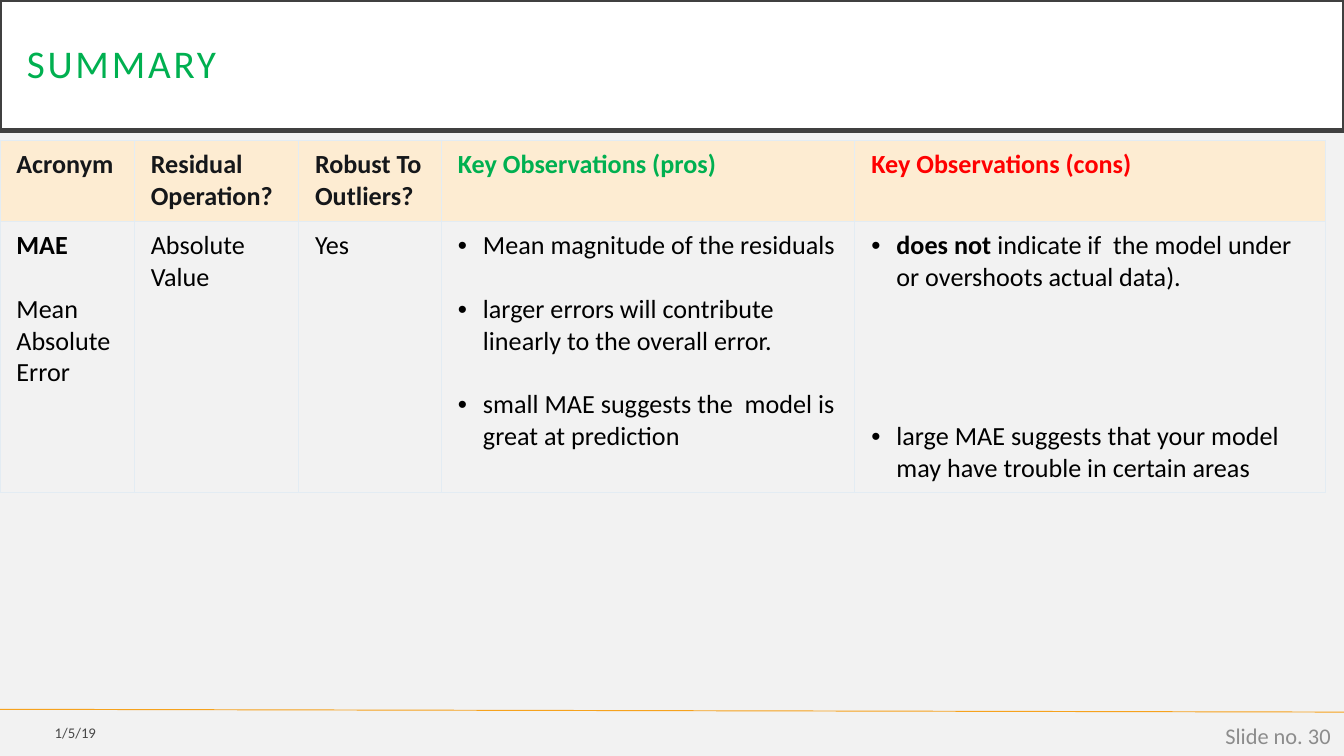
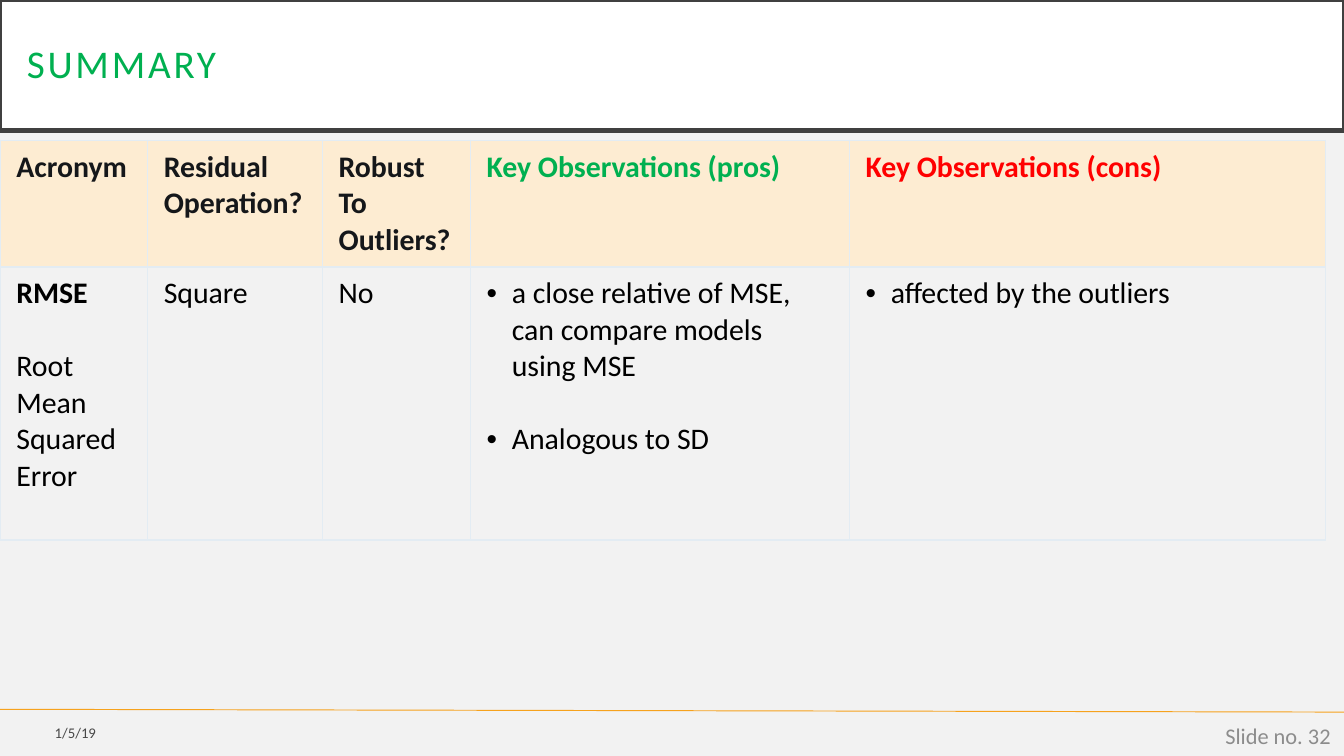
from lxml import etree
from pptx import Presentation
from pptx.dml.color import RGBColor
from pptx.enum.shapes import MSO_CONNECTOR, MSO_SHAPE
from pptx.enum.text import MSO_ANCHOR, PP_ALIGN
from pptx.oxml.ns import qn
from pptx.util import Pt

RECT = MSO_SHAPE.RECTANGLE
STRAIGHT = MSO_CONNECTOR.STRAIGHT
MIDDLE = MSO_ANCHOR.MIDDLE
LEFT, RIGHT = PP_ALIGN.LEFT, PP_ALIGN.RIGHT

WIDTH, HEIGHT = 720, 405
FONT = "Calibri"
LEADING = 1.22
INDENT = 13.5
COLORS = {
    "page": "F2F2F2", "white": "FFFFFF", "frame": "404040",
    "rule": "F6A21D", "green": "00B050", "red": "FF0000",
    "black": "000000", "gray": "8C8C8C", "dark": "15171A",
    "head": "FDECD2", "grid": "E3ECF3",
}
HEADS = [
    ("Acronym", "dark"), ("Residual Operation?", "dark"),
    ("Robust To Outliers?", "dark"),
    ("Key Observations (pros)", "green"),
    ("Key Observations (cons)", "red"),
]


def rgb(name):
    return RGBColor.from_string(COLORS[name])


def child(node, tag, **attrs):
    return etree.SubElement(node, qn(tag), attrs)


def write(frame, text, size=14, color="black", bold=False, align=LEFT,
          bullet=False, spread=0, alpha=None, leading=None):
    """Text is a string or a list of (blank lines before, string); *marks* are bold."""
    frame.word_wrap = True
    items = [(0, text)] if isinstance(text, str) else text
    for i, (gap, line) in enumerate(items):
        para = frame.paragraphs[0] if i == 0 else frame.add_paragraph()
        para.alignment = align
        if gap:
            para.space_before = Pt(round(gap * size * LEADING, 1))
        if leading:
            para.line_spacing = leading
        if bullet:
            props = para._p.get_or_add_pPr()
            props.set("marL", str(Pt(INDENT)))
            props.set("indent", str(-Pt(INDENT)))
            child(props, "a:buFont", typeface="Arial")
            child(props, "a:buChar", char="•")
        for n, part in enumerate(line.split("*")):
            if not part:
                continue
            run = para.add_run()
            run.text = part
            font = run.font
            font.name, font.size = FONT, Pt(size)
            font.bold = bold or n % 2 == 1
            font.color.rgb = rgb(color)
            if spread:
                run._r.get_or_add_rPr().set("spc", str(round(spread * 100)))
            if alpha:
                tint = run._r.find(".//" + qn("a:srgbClr"))
                child(tint, "a:alpha", val=str(alpha * 1000))


class Deck:
    def __init__(self):
        self.prs = Presentation()
        self.prs.slide_width, self.prs.slide_height = Pt(WIDTH), Pt(HEIGHT)
        self.slide = None

    def page(self, title, date, number):
        self.slide = self.prs.slides.add_slide(self.prs.slide_layouts[6])
        fill = self.slide.background.fill
        fill.solid()
        fill.fore_color.rgb = rgb("page")
        self.line(0, 380, WIDTH, 381.5)
        self.title(title)
        self.label(date, 0, 382.5, 58.5, 19.5, size=7.9, alpha=70)
        self.label(f"Slide no. {number}", 558, 383, 162, 22,
                   size=12, color="gray")

    def line(self, x1, y1, x2, y2):
        rule = self.slide.shapes.add_connector(
            STRAIGHT, Pt(x1), Pt(y1), Pt(x2), Pt(y2))
        rule.line.color.rgb = rgb("rule")
        rule.line.width = Pt(0.5)
        child(rule._element.spPr, "a:effectLst")

    def title(self, text):
        band = self.slide.shapes.add_shape(RECT, 0, 0, Pt(WIDTH), Pt(70))
        band.shadow.inherit = False
        band.fill.solid()
        band.fill.fore_color.rgb = rgb("white")
        band.line.color.rgb = rgb("frame")
        band.line.width = Pt(2.5)
        frame = band.text_frame
        frame.vertical_anchor = MIDDLE
        frame.margin_left = frame.margin_right = Pt(14.4)
        frame.margin_top = frame.margin_bottom = Pt(14.4)
        write(frame, text, size=21, color="green", spread=1.5, leading=0.9)

    def label(self, text, x, y, w, h, **style):
        box = self.slide.shapes.add_textbox(Pt(x), Pt(y), Pt(w), Pt(h))
        box.text_frame.vertical_anchor = MIDDLE
        write(box.text_frame, text, align=RIGHT, **style)

    def cell(self, cell, text, fill=None, **style):
        cell.margin_left = cell.margin_right = Pt(8.8)
        cell.margin_top = cell.margin_bottom = Pt(4.4)
        props = cell._tc.get_or_add_tcPr()
        for side in "LRTB":
            edge = child(props, f"a:ln{side}", w=str(Pt(0.75)))
            paint = child(edge, "a:solidFill")
            child(paint, "a:srgbClr", val=COLORS["grid"])
        if fill:
            cell.fill.solid()
            cell.fill.fore_color.rgb = rgb(fill)
        else:
            cell.fill.background()
        write(cell.text_frame, text, **style)

    def table(self, cols, rows, size, body):
        table = self.slide.shapes.add_table(
            2, len(cols), 0, Pt(75.3), Pt(sum(cols)), Pt(sum(rows))).table
        table.first_row = table.horz_banding = False
        for row, high in zip(table.rows, rows):
            row.height = Pt(high)
        for i, wide in enumerate(cols):
            table.columns[i].width = Pt(wide)
            head, color = HEADS[i]
            self.cell(table.cell(0, i), head, fill="head", size=size,
                      color=color, bold=True)
            self.cell(table.cell(1, i), body[i], size=size, bullet=i > 2)


def main():
    deck = Deck()
    pages = [
        (30, [72, 88, 76.5, 221.5, 252], [43.4, 145.2], 14, [
            [(0, "*MAE*"), (1, "Mean Absolute Error")],
            "Absolute Value",
            "Yes",
            [(0, "Mean magnitude of the residuals"),
             (1, "larger errors will contribute linearly to the overall error."),
             (1, "small MAE suggests the  model is great at prediction")],
            [(0, "*does not *indicate if  the model under or overshoots actual data)."),
             (4, "large MAE suggests that your model may have trouble in certain areas")],
        ]),
        (32, [79, 93.7, 79.3, 203, 255], [67.8, 146.2], 16, [
            [(0, "*RMSE*"), (1, "Root Mean Squared Error")],
            "Square",
            "No",
            [(0, "a close relative of MSE, can compare models using MSE"),
             (1, "Analogous to SD")],
            "affected by the outliers",
        ]),
    ]
    for number, cols, rows, size, body in pages:
        deck.page("SUMMARY", "1/5/19", number)
        deck.table(cols, rows, size, body)
    deck.prs.save("out.pptx")


if __name__ == "__main__":
    main()
